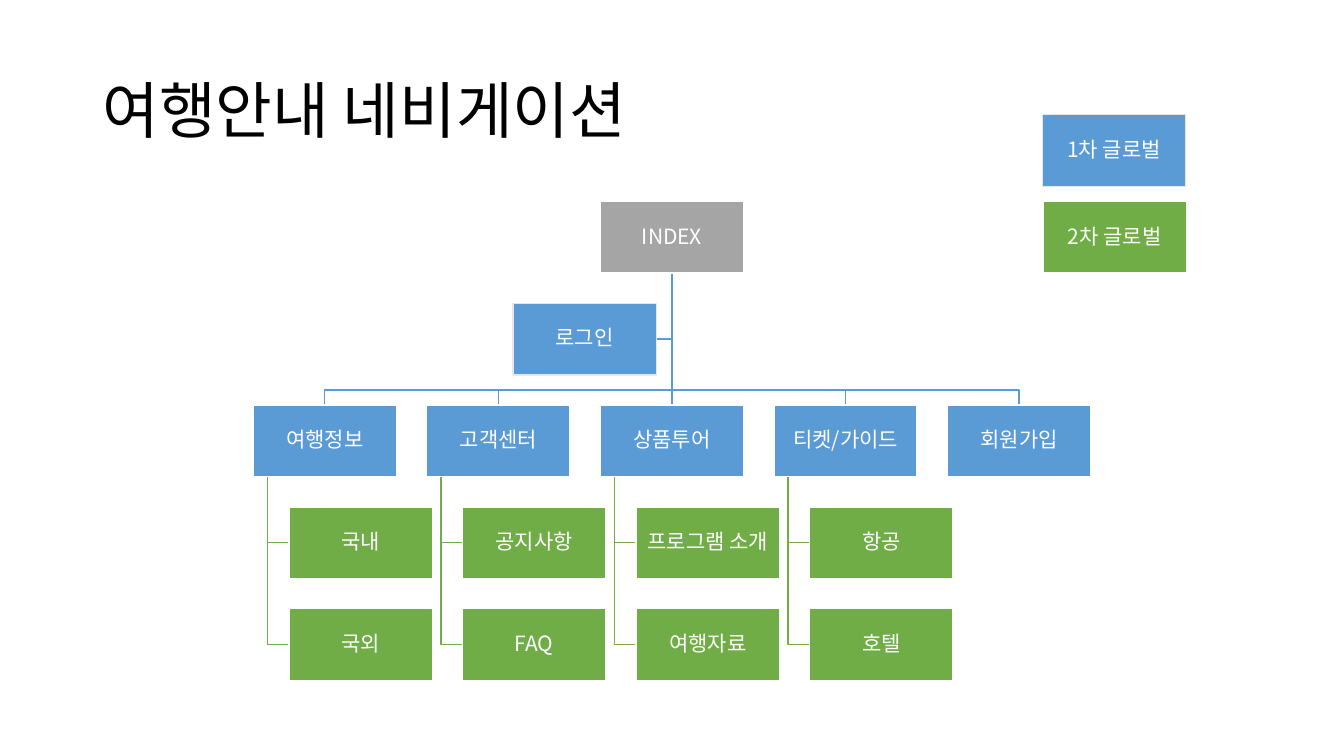
from lxml import etree
from pptx import Presentation
from pptx.dml.color import RGBColor
from pptx.enum.shapes import MSO_CONNECTOR, MSO_SHAPE
from pptx.enum.text import MSO_ANCHOR, PP_ALIGN
from pptx.oxml.ns import qn
from pptx.util import Pt

BLUE, GREEN, GRAY = "5B9BD5", "70AD47", "A5A5A5"
WHITE, BLACK, PALE = "FFFFFF", "000000", "E7E7E7"

# Chart geometry in points
BOX_W, BOX_H = 102.4, 51.2
COL_LEFT, COL_STEP = 180.8, 124
ROW_TOP, ROW_STEP = 144, 72.7
CHILD_INDENT, STEM_INDENT = 25.6, 10.2
BUS_GAP = 10.8

MENU = [
    ("여행정보", ["국내", "국외"]),
    ("고객센터", ["공지사항", "FAQ"]),
    ("상품투어", ["프로그램 소개", "여행자료"]),
    ("티켓/가이드", ["항공", "호텔"]),
    ("회원가입", []),
]


def rgb(value):
    return RGBColor.from_string(value)


class SlideBuilder:
    font = "Noto Sans CJK KR"
    line_width = 1

    def __init__(self, s):
        self.s = s

    def text(self, tf, text, size, color, align):
        tf.word_wrap = True
        tf.vertical_anchor = MSO_ANCHOR.MIDDLE
        p = tf.paragraphs[0]
        p.alignment = align
        p.line_spacing = 0.9
        r = p.add_run()
        r.text = text
        r.font.size = Pt(size)
        r.font.name = self.font
        r.font.color.rgb = rgb(color)
        ea = etree.SubElement(r.font._element, qn("a:ea"))
        ea.set("typeface", self.font)
        return p

    def title(self, text, left, top, width, height):
        sp = self.s.shapes.title
        sp.left, sp.top, sp.width, sp.height = map(Pt, (left, top, width, height))
        self.text(sp.text_frame, text, 44, BLACK, PP_ALIGN.LEFT)

    def box(self, text, left, top, fill, border=WHITE):
        sp = self.s.shapes.add_shape(
            MSO_SHAPE.RECTANGLE, Pt(left), Pt(top), Pt(BOX_W), Pt(BOX_H))
        sp.shadow.inherit = False
        sp.fill.solid()
        sp.fill.fore_color.rgb = rgb(fill)
        self.outline(sp, border)
        tf = sp.text_frame
        tf.margin_left = tf.margin_right = tf.margin_top = tf.margin_bottom = Pt(0.75)
        p = self.text(tf, text, 15, WHITE, PP_ALIGN.CENTER)
        p.space_after = Pt(5.25)

    def outline(self, sp, color):
        sp.line.color.rgb = rgb(color)
        sp.line.width = Pt(self.line_width)

    def elbow(self, points, color):
        (x, y), *rest = [(Pt(px), Pt(py)) for px, py in points]
        fb = self.s.shapes.build_freeform(x, y)
        fb.add_line_segments(rest, close=False)
        sp = fb.convert_to_shape()
        sp.shadow.inherit = False
        sp.fill.background()
        self.outline(sp, color)

    def straight(self, x1, y1, x2, y2, color):
        sp = self.s.shapes.add_connector(
            MSO_CONNECTOR.STRAIGHT, Pt(x1), Pt(y1), Pt(x2), Pt(y2))
        self.outline(sp, color)
        etree.SubElement(sp._element.spPr, qn("a:effectLst"))


def col_left(col):
    return COL_LEFT + col * COL_STEP


def row_top(row):
    return ROW_TOP + row * ROW_STEP


def main():
    prs = Presentation()
    prs.slide_width, prs.slide_height = Pt(960), Pt(540)
    b = SlideBuilder(prs.slides.add_slide(prs.slide_layouts[5]))
    b.title("여행안내 네비게이션", 66, 28.75, 828, 104.4)

    index_left = col_left(2)
    trunk_x = index_left + BOX_W / 2
    trunk_top = ROW_TOP + BOX_H
    menu_top = row_top(2)
    bus_y = menu_top - BUS_GAP
    login_left = 366.4

    # Lines from the index to the login box and the menu
    login_mid = row_top(1) + BOX_H / 2
    b.elbow([(trunk_x, trunk_top), (trunk_x, login_mid),
             (login_left + BOX_W, login_mid)], BLUE)
    for col, (_, children) in enumerate(MENU):
        x = col_left(col) + BOX_W / 2
        if col == 2:
            b.straight(trunk_x, trunk_top, x, menu_top, BLUE)
        else:
            b.elbow([(trunk_x, trunk_top), (trunk_x, bus_y),
                     (x, bus_y), (x, menu_top)], BLUE)
        # Lines from the menu box to its children
        stem_x = col_left(col) + STEM_INDENT
        for row in range(3, 3 + len(children)):
            y = row_top(row) + BOX_H / 2
            b.elbow([(stem_x, menu_top + BOX_H), (stem_x, y),
                     (col_left(col) + CHILD_INDENT, y)], GREEN)

    # Boxes
    b.box("INDEX", index_left, ROW_TOP, GRAY)
    for col, (name, children) in enumerate(MENU):
        b.box(name, col_left(col), menu_top, BLUE)
        for row, child in enumerate(children, 3):
            b.box(child, col_left(col) + CHILD_INDENT, row_top(row), GREEN)
    b.box("로그인", login_left, row_top(1), BLUE, PALE)

    # Legend
    b.box("2차 글로벌", 745, ROW_TOP, GREEN)
    b.box("1차 글로벌", 744.5, 82, BLUE, PALE)

    prs.save("out.pptx")


if __name__ == "__main__":
    main()
